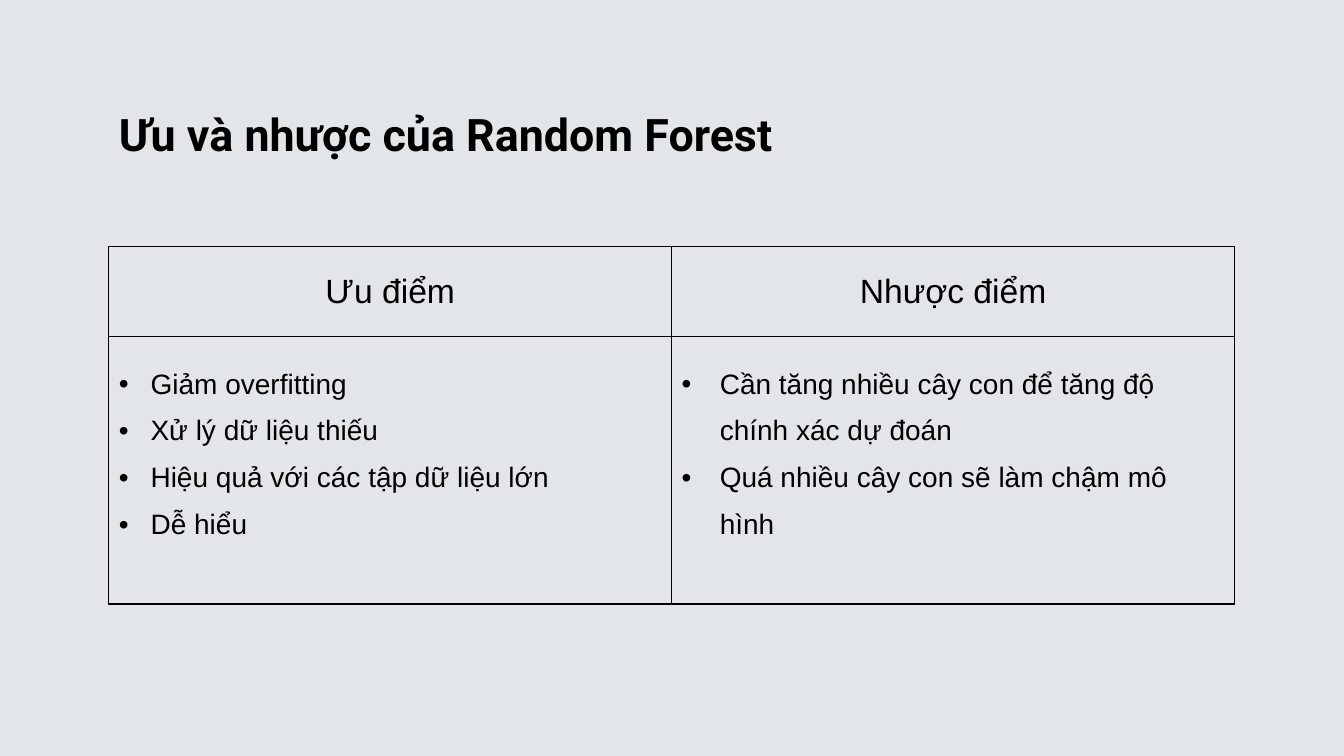
from lxml import etree
from pptx import Presentation
from pptx import util as u
from pptx.dml.color import RGBColor
from pptx.enum import text
from pptx.oxml.ns import qn

COLORS = {"background": "E2E6E8", "ink": "000000"}
TITLE = "Ưu và nhược của Random Forest"
COLUMNS = [
    ("Ưu điểm", 0.8, [
        "Giảm overfitting",
        "Xử lý dữ liệu thiếu",
        "Hiệu quả với các tập dữ liệu lớn",
        "Dễ hiểu",
    ]),
    ("Nhược điểm", 0.96, [
        "Cần tăng nhiều cây con để tăng độ chính xác dự đoán",
        "Quá nhiều cây con sẽ làm chậm mô hình",
    ]),
]
HEADER_FONT = {"name": "Arial", "size": u.Pt(24), "bold": False}
BODY_FONT = {"name": "Arial", "size": u.Pt(20), "bold": False}
TITLE_FONT = {"name": "Roboto", "size": u.Pt(32), "bold": True}


def color(name):
    return RGBColor.from_string(COLORS[name])


def set_attrs(target, values):
    for name, value in values.items():
        setattr(target, name, value)


def add_text(p, words, font):
    r = p.add_run()
    r.text = words
    set_attrs(r.font, font)
    r.font.color.rgb = color("ink")


def add_bullet(p, indent):
    pPr = p._p.get_or_add_pPr()
    pPr.set("marL", str(u.Cm(indent)))
    pPr.set("indent", str(-u.Cm(indent)))
    etree.SubElement(pPr, qn("a:buFont")).set("typeface", "Arial")
    etree.SubElement(pPr, qn("a:buChar")).set("char", "•")


def format_cell(cell):
    cell.vertical_anchor = text.MSO_ANCHOR.MIDDLE
    tcPr = cell._tc.get_or_add_tcPr()
    for side in ("lnL", "lnR", "lnT", "lnB"):
        ln = etree.SubElement(tcPr, qn(f"a:{side}"))
        ln.set("w", str(u.Pt(1)))
        fill = etree.SubElement(ln, qn("a:solidFill"))
        etree.SubElement(fill, qn("a:srgbClr")).set("val", COLORS["ink"])
    cell.fill.background()


def place_title(s, left, top, width, height):
    title = s.shapes.title
    set_attrs(title, {"left": left, "top": top, "width": width, "height": height})
    tf = title.text_frame
    set_attrs(tf, {"vertical_anchor": text.MSO_ANCHOR.BOTTOM, "word_wrap": True})
    p = tf.paragraphs[0]
    set_attrs(p, {"alignment": text.PP_ALIGN.LEFT, "line_spacing": 0.9})
    add_text(p, TITLE, TITLE_FONT)


def place_comparison(s, left, top, width, height):
    table = s.shapes.add_table(2, len(COLUMNS), left, top, width, height).table
    set_attrs(table, {"first_row": False, "horz_banding": False})
    table.rows[0].height = int(height / 4)
    table.rows[1].height = height - table.rows[0].height
    for i, (heading, indent, points) in enumerate(COLUMNS):
        header, body = table.cell(0, i), table.cell(1, i)
        format_cell(header)
        format_cell(body)
        body.margin_bottom = u.Cm(1.3)
        p = header.text_frame.paragraphs[0]
        p.alignment = text.PP_ALIGN.CENTER
        add_text(p, heading, HEADER_FONT)
        tf = body.text_frame
        for n, point in enumerate(points):
            p = tf.add_paragraph() if n else tf.paragraphs[0]
            p.line_spacing = 1.5
            add_bullet(p, indent)
            add_text(p, point, BODY_FONT)


def main():
    prs = Presentation()
    set_attrs(prs, {"slide_width": u.Cm(33.87), "slide_height": u.Cm(19.05)})
    s = prs.slides.add_slide(prs.slide_layouts[5])
    s.background.fill.solid()
    s.background.fill.fore_color.rgb = color("background")
    left, width = u.Cm(2.74), u.Cm(28.37)
    place_title(s, left, u.Cm(1.09), width, u.Cm(3.1))
    place_comparison(s, left, u.Cm(6.22), width, u.Cm(9))
    prs.save("out.pptx")


if __name__ == "__main__":
    main()
